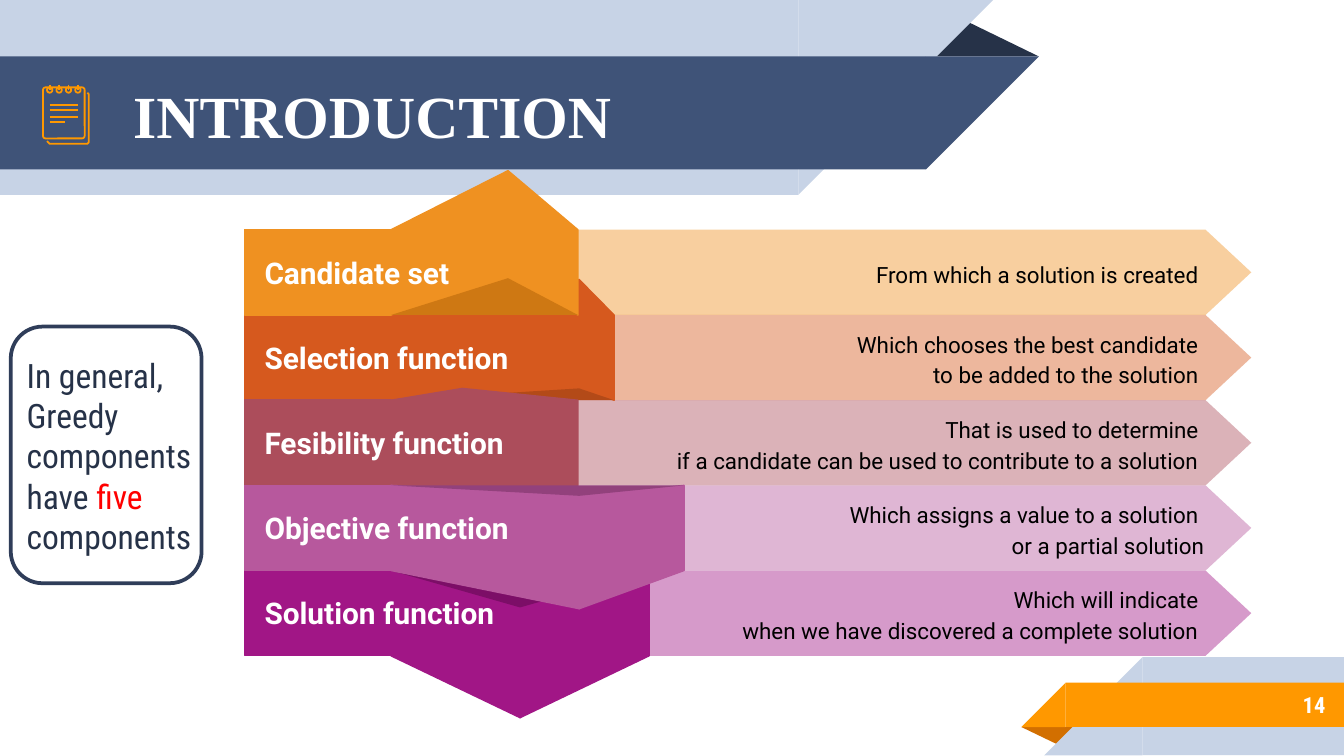
"""Builds the introduction slide with the five parts of a greedy algorithm."""
import pptx
import pptx.util
import pptx.dml.color
import pptx.enum.shapes
import pptx.enum.text
import pptx.oxml.ns
import lxml.etree

Inches = pptx.util.Inches
Pt = pptx.util.Pt
Kind = pptx.enum.shapes.MSO_SHAPE
Align = pptx.enum.text.PP_ALIGN
middle = pptx.enum.text.MSO_ANCHOR.MIDDLE
qn = pptx.oxml.ns.qn


def tint(fill, code, alpha=100):
    fill.solid()
    fill.fore_color.rgb = pptx.dml.color.RGBColor.from_string(code)
    if alpha < 100:
        color = fill._xPr.find(".//" + qn("a:srgbClr"))
        lxml.etree.SubElement(color, qn("a:alpha"), val=str(alpha * 1000))


def draw(points, code, alpha=100, edge=False):
    spots = [(Inches(x), Inches(y)) for x, y in points]
    pen = shapes.build_freeform(*spots[0])
    pen.add_line_segments(spots[1:], close=True)
    form = pen.convert_to_shape()
    form.shadow.inherit = False
    tint(form.fill, code, alpha)
    if edge:
        tint(form.line.fill, code)
        form.line.width = Pt(0.75)
    else:
        form.line.fill.background()
    return form


deck = pptx.Presentation()
deck.slide_width = Inches(10)
deck.slide_height = Inches(10) * 9 // 16
slide = deck.slides.add_slide(deck.slide_layouts[5])
shapes = slide.shapes

banners = [
    (Kind.ISOSCELES_TRIANGLE, 6.88, 0.14, 0.85, 0.28, 0, "263248"),
    (Kind.RECTANGLE, 0, 0, 5.94, 1.45, 0, "C7D3E6"),
    (Kind.RIGHT_TRIANGLE, 5.94, 0, 1.45, 1.45, 90, "C7D3E6"),
    (Kind.RECTANGLE, 0, 0.42, 6.89, 0.84, 0, "3F5378"),
    (Kind.RIGHT_TRIANGLE, 6.89, 0.42, 0.84, 0.84, 90, "3F5378"),
    (Kind.ISOSCELES_TRIANGLE, 7.6, 5.41, 0.43, 0.14, 180, "D26F00"),
    (Kind.RECTANGLE, 8.5, 4.89, 1.5, 0.73, 0, "C7D3E6"),
    (Kind.RIGHT_TRIANGLE, 7.77, 4.89, 0.73, 0.73, 270, "C7D3E6"),
    (Kind.RECTANGLE, 7.93, 5.08, 2.07, 0.33, 0, "FF9800"),
    (Kind.RIGHT_TRIANGLE, 7.6, 5.08, 0.33, 0.33, 270, "FF9800"),
]
for kind, left, top, width, height, turn, code in banners:
    part = shapes.add_shape(kind, Inches(left), Inches(top), Inches(width), Inches(height))
    part.shadow.inherit = False
    part.rotation = turn
    tint(part.fill, code)
    part.line.fill.background()
    if kind == Kind.ISOSCELES_TRIANGLE:
        part.adjustments[0] = 0.324

title = shapes.title
shapes._spTree.append(title._element)
title.left, title.top = Inches(0.89), Inches(0.43)
title.width, title.height = Inches(5.75), Inches(0.84)
frame = title.text_frame
frame.text = "INTRODUCTION"
frame.vertical_anchor = middle
frame.auto_size = pptx.enum.text.MSO_AUTO_SIZE.NONE
para = frame.paragraphs[0]
para.alignment = Align.LEFT
para.font.name, para.font.size, para.font.bold = "Times New Roman", Pt(32), True
tint(para.font.fill, "FFFFFF")

box = shapes.add_textbox(Inches(8.33), Inches(5.07), Inches(1.63), Inches(0.35))
frame = box.text_frame
frame.word_wrap = True
frame.vertical_anchor = middle
para = frame.paragraphs[0]
para.text = "14"
para.alignment = Align.RIGHT
para.font.name, para.font.size, para.font.bold = "Roboto Condensed", Pt(12), True
tint(para.font.fill, "FFFFFF")

back = [(0.35, 1.05), (0.37, 1.07), (0.65, 1.07), (0.66, 1.06), (0.66, 0.7), (0.65, 0.69)]
spots = [(Inches(x), Inches(y)) for x, y in back]
pen = shapes.build_freeform(*spots[0])
pen.add_line_segments(spots[1:], close=False)
icon = [pen.convert_to_shape()]
page = shapes.add_shape(Kind.ROUNDED_RECTANGLE, Inches(0.32), Inches(0.65), Inches(0.31), Inches(0.38))
page.adjustments[0] = 0.06
icon.append(page)
rings = [0.37 + 0.07 * i for i in range(4)]
for x in rings:
    icon.append(shapes.add_shape(Kind.OVAL, Inches(x - 0.02), Inches(0.65), Inches(0.04), Inches(0.04)))
for part in icon:
    part.shadow.inherit = False
    part.fill.background()
    tint(part.line.fill, "FF9800")
    part.line.width = Pt(0.96)

strokes = [(x, 0.63, x, 0.67) for x in rings]
strokes += [(0.37, y, 0.58, y) for y in (0.78, 0.82, 0.87)] + [(0.37, 0.91, 0.48, 0.91)]
for ends in strokes:
    line = shapes.add_connector(pptx.enum.shapes.MSO_CONNECTOR.STRAIGHT, *map(Inches, ends))
    tint(line.line.fill, "FF9800")
    line.line.width = Pt(0.96)
    lxml.etree.SubElement(line._element.spPr, qn("a:effectLst"))

card = shapes.add_shape(Kind.ROUNDED_RECTANGLE, Inches(0.08), Inches(2.43), Inches(1.42), Inches(1.91))
card.shadow.inherit = False
tint(card.fill, "FFFFFF")
tint(card.line.fill, "2F3D59")
card.line.width = Pt(2)
box = shapes.add_textbox(Inches(0.1), Inches(2.59), Inches(1.48), Inches(2.13))
box.text_frame.word_wrap = True
para = box.text_frame.paragraphs[0]
para.font.name, para.font.size = "Roboto Condensed", Pt(18)
for text, code in [("In general, Greedy components have ", "263248"), ("five", "FF0000"), (" components", "263248")]:
    run = para.add_run()
    run.text = text
    tint(run.font.fill, code)

bands = [
    ("Candidate set", ["From which a solution is created "],
     "EF9121", 3.78, 1.27, 2.07, 4.3, "CE7813"),
    ("Selection function", ["Which chooses the best candidate ", "to be added to the solution "],
     "D6591E", 4.31, 2.08, 2.89, 4.57, "B34A18"),
    ("Fesibility function", ["That is used to determine ", "if a candidate can be used to contribute to a solution "],
     "AC4D5B", 3.44, 2.89, 3.68, 4.3, None),
    ("Objective function", ["Which assigns a value to a solution ", "or a partial solution"],
     "B7589D", 4.31, 3.69, 4.53, 5.09, "92417C"),
    ("Solution function", ["Which will indicate ", "when we have discovered a complete solution "],
     "A11686", 3.87, 4.52, 5.34, 4.83, "7C0E67"),
]
first, last = 1.71, 4.88
edges = [first + (last - first) * i / 5 for i in range(6)]
left, bend = 1.82, 2.91

for i, band in reversed(list(enumerate(bands))):
    top, low = edges[i], edges[i + 1]
    arrow = draw([(8.97, low), (3.39, low), (3.39, top), (8.97, top), (9.31, (top + low) / 2)], band[2], 43)
    frame = arrow.text_frame
    frame.word_wrap = True
    frame.vertical_anchor = middle
    frame.margin_left = frame.margin_top = frame.margin_bottom = Inches(0.1)
    frame.margin_right = Inches(0.35)
    frame.text = "\n".join(band[1])
    for para in frame.paragraphs:
        para.alignment = Align.RIGHT
        para.line_spacing = 1.15
        para.font.name, para.font.size = "Roboto", Pt(12)
        tint(para.font.fill, "000000")

for i in (1, 2, 4, 3, 0):
    label, notes, code, fold, high, deep, end, shade = bands[i]
    top, low = edges[i], edges[i + 1]
    draw([(left, top), (left, low), (bend, low), (bend, top)], code, edge=True)
    draw([(fold, high), (bend, top), (bend, low), (fold, deep)], code, edge=True)
    draw([(fold, high), (end, top), (end, low), (fold, deep)], code, edge=True)
    if shade:
        base, tip = (low, deep) if i < 2 else (top, high)
        draw([(bend, base), (fold, tip), (end, base)], shade)

for top, band in zip(edges, bands):
    box = shapes.add_textbox(Inches(1.87), Inches(top + 0.13), Inches(2.4), Inches(0.37))
    frame = box.text_frame
    frame.word_wrap = True
    frame.vertical_anchor = middle
    para = frame.paragraphs[0]
    para.text = band[0]
    para.font.name, para.font.size, para.font.bold = "Roboto", Pt(16), True
    tint(para.font.fill, "FFFFFF")

deck.save("out.pptx")
